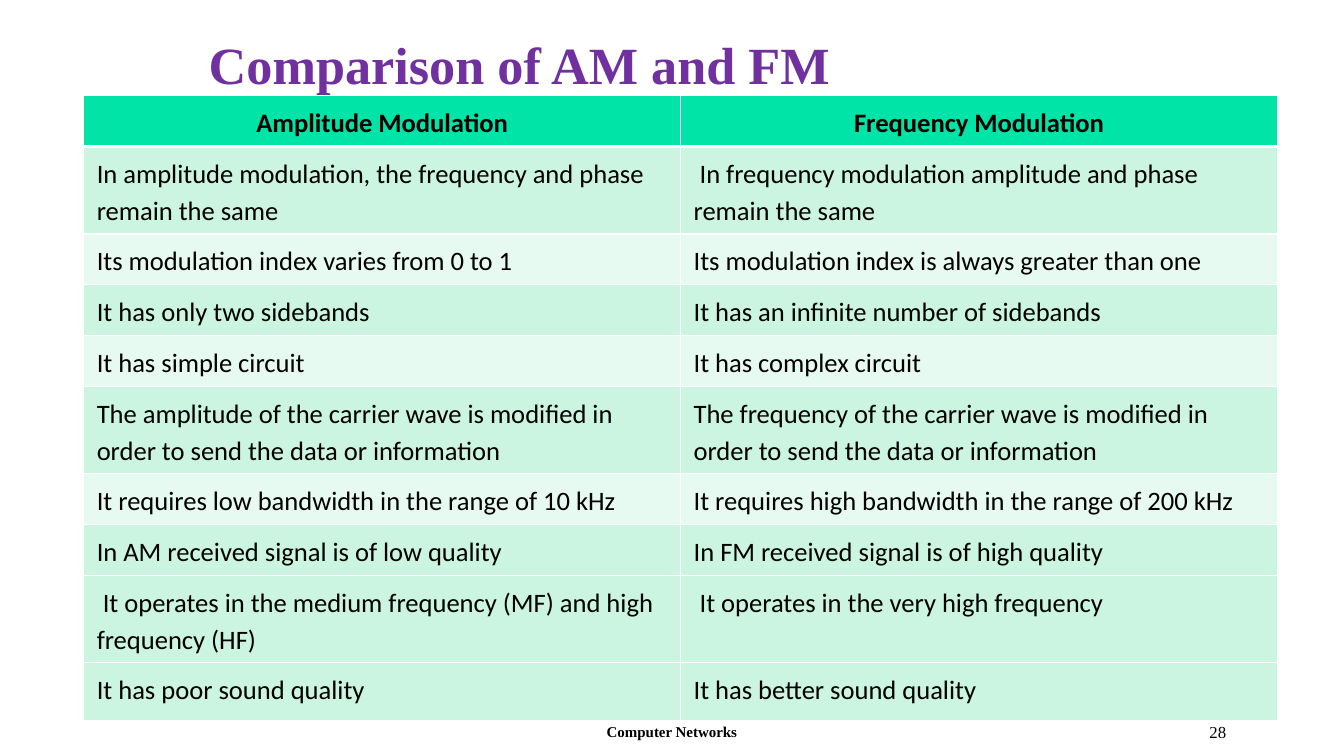
import pptx
import pptx.dml.color
import pptx.enum.text
import pptx.oxml
import pptx.oxml.ns
import pptx.util
from pptx.util import Inches

PP_ALIGN = pptx.enum.text.PP_ALIGN
MIDDLE = pptx.enum.text.MSO_ANCHOR.MIDDLE


def format_paragraph(paragraph, font_name, size, color, bold, alignment):
    paragraph.alignment = alignment
    paragraph.font.name = font_name
    paragraph.font.size = pptx.util.Pt(size)
    paragraph.font.bold = bold
    paragraph.font.color.rgb = pptx.dml.color.RGBColor.from_string(color)


def add_border(cell, side, width):
    line = pptx.oxml.parse_xml(
        f'<a:{side} {pptx.oxml.ns.nsdecls("a")} w="{pptx.util.Pt(width)}">'
        f'<a:solidFill><a:srgbClr val="FFFFFF"/></a:solidFill></a:{side}>'
    )
    cell._tc.get_or_add_tcPr().append(line)


presentation = pptx.Presentation()
presentation.slide_width = Inches(13.33)
presentation.slide_height = Inches(7.5)
slide = presentation.slides.add_slide(presentation.slide_layouts[5])

title = slide.shapes.title
title.left, title.top = Inches(1.97), Inches(0.27)
title.width, title.height = Inches(10.7), Inches(0.91)
title.text_frame.text = "Comparison of AM and FM"
title.text_frame.vertical_anchor = pptx.enum.text.MSO_ANCHOR.TOP
title.text_frame.auto_size = pptx.enum.text.MSO_AUTO_SIZE.NONE
format_paragraph(title.text_frame.paragraphs[0], "Times New Roman", 37.3, "7030A0", True, PP_ALIGN.LEFT)

footers = [
    ("28", 10.83, 1.43, 12, False, PP_ALIGN.RIGHT),
    ("Computer Networks", 4.03, 5.27, 10.7, True, PP_ALIGN.CENTER),
]
for text, left, width, size, bold, alignment in footers:
    footer = slide.shapes.add_textbox(Inches(left), Inches(7.06), Inches(width), Inches(0.4))
    footer.text_frame.word_wrap = True
    footer.text_frame.vertical_anchor = MIDDLE
    footer.text_frame.text = text
    format_paragraph(footer.text_frame.paragraphs[0], "Times New Roman", size, "000000", bold, alignment)

HEADER, DARK, LIGHT = "00E4A8", "CBF5E1", "E7FAF1"
rows = [
    (0.49, HEADER, "Amplitude Modulation", "Frequency Modulation"),
    (0.85, DARK, "In amplitude modulation, the frequency and phase remain the same",
     " In frequency modulation amplitude and phase remain the same"),
    (0.49, LIGHT, "Its modulation index varies from 0 to 1", "Its modulation index is always greater than one"),
    (0.49, DARK, "It has only two sidebands", "It has an infinite number of sidebands"),
    (0.49, LIGHT, "It has simple circuit", "It has complex circuit"),
    (0.85, DARK, "The amplitude of the carrier wave is modified in order to send the data or information",
     "The frequency of the carrier wave is modified in order to send the data or information"),
    (0.49, LIGHT, "It requires low bandwidth in the range of 10 kHz",
     "It requires high bandwidth in the range of 200 kHz"),
    (0.49, DARK, "In AM received signal is of low quality", "In FM received signal is of high quality"),
    (0.85, DARK, " It operates in the medium frequency (MF) and high frequency (HF)",
     " It operates in the very high frequency"),
    (0.58, DARK, "It has poor sound quality", "It has better sound quality"),
]
table = slide.shapes.add_table(
    len(rows), 2, Inches(0.83), Inches(0.95), Inches(11.84), Inches(6.07)
).table

for row_index, (height, fill, *texts) in enumerate(rows):
    table.rows[row_index].height = Inches(height)
    is_header = row_index == 0
    for column_index, text in enumerate(texts):
        cell = table.cell(row_index, column_index)
        cell.margin_left = cell.margin_right = Inches(0.13)
        cell.margin_top = cell.margin_bottom = Inches(0.07)
        cell.text = text
        paragraph = cell.text_frame.paragraphs[0]
        paragraph.line_spacing = 1.15
        paragraph.space_after = pptx.util.Pt(10)
        format_paragraph(paragraph, "Calibri", 19, "000000", is_header,
                         PP_ALIGN.CENTER if is_header else PP_ALIGN.LEFT)
        add_border(cell, "lnL", 1)
        add_border(cell, "lnR", 1)
        add_border(cell, "lnT", 3 if row_index == 1 else 1)
        add_border(cell, "lnB", 3 if is_header else 1)
        cell.fill.solid()
        cell.fill.fore_color.rgb = pptx.dml.color.RGBColor.from_string(fill)

presentation.save("out.pptx")
